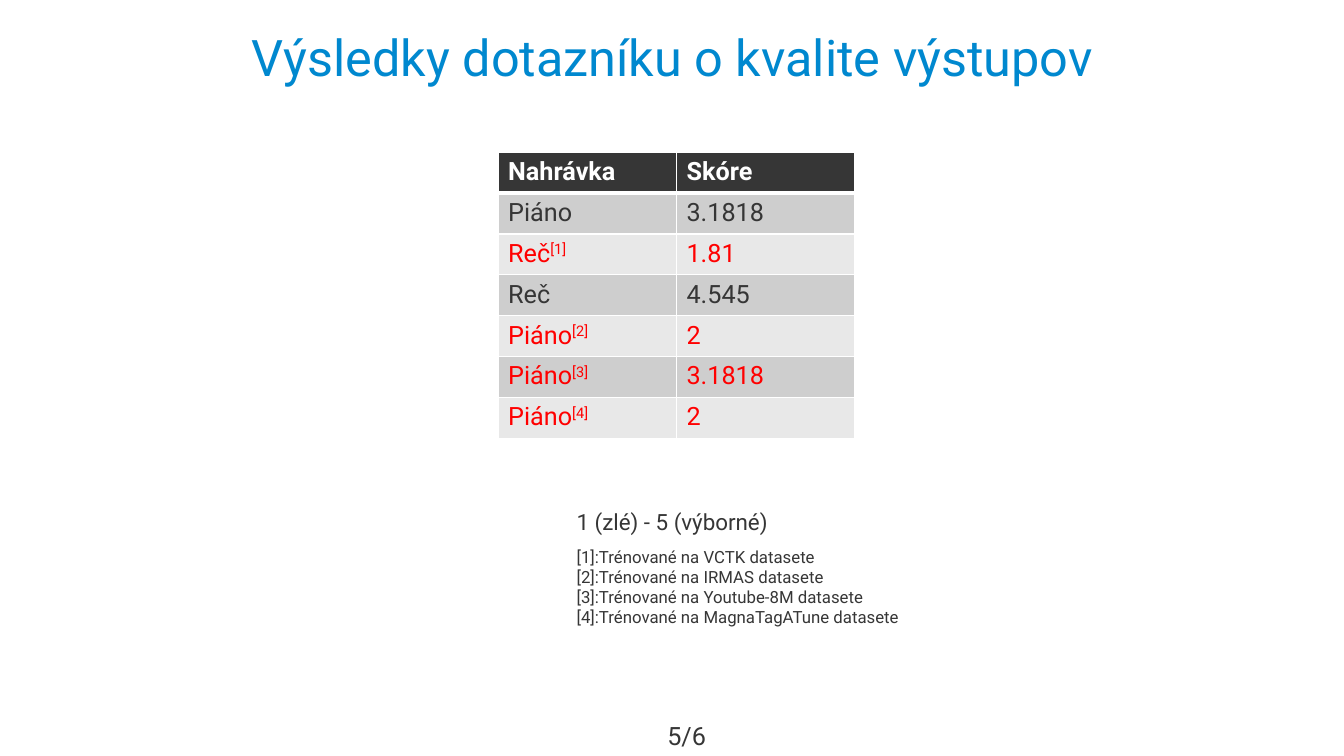
from dataclasses import dataclass

from pptx import Presentation
from pptx import util as u
from pptx.dml.color import RGBColor
from pptx.enum import text
from pptx.oxml import parse_xml
from pptx.oxml.ns import nsdecls


@dataclass(frozen=True)
class Theme:
    """Font, colours and type sizes of the slide."""
    font: str = "Roboto"
    title: str = "0088CF"
    dark: str = "363636"
    white: str = "FFFFFF"
    trained: str = "FF0000"
    bands: tuple = ("CECECE", "E8E8E8")
    title_size: int = 36
    body_size: int = 18
    scale_size: int = 16
    note_size: int = 12


THEME = Theme()
HEADINGS = ("Nahrávka", "Skóre")
SCORES = (
    ("Piáno", "", "3.1818"),
    ("Reč", "[1]", "1.81"),
    ("Reč", "", "4.545"),
    ("Piáno", "[2]", "2"),
    ("Piáno", "[3]", "3.1818"),
    ("Piáno", "[4]", "2"),
)
DATASETS = ("VCTK", "IRMAS", "Youtube-8M", "MagnaTagATune")


def add_span(para, content, size, color, bold=False, raised=False):
    """Add one formatted run to a paragraph."""
    span = para.add_run()
    span.text = content
    span.font.name = THEME.font
    span.font.size = u.Pt(size)
    span.font.bold = bold
    span.font.color.rgb = RGBColor.from_string(color)
    if raised:
        span._r.get_or_add_rPr().set("baseline", "30000")


def add_text(page, area, lines, size, color=THEME.dark, align=None, spacing=None):
    """Add a text box with one paragraph per line."""
    box = page.shapes.add_textbox(*map(u.Inches, area))
    frame = box.text_frame
    frame.word_wrap = True
    for index, line in enumerate(lines):
        para = frame.add_paragraph() if index else frame.paragraphs[0]
        para.alignment = align
        para.line_spacing = spacing
        add_span(para, line, size, color)


def style_cell(cell, fill, top=1, bottom=1):
    """Give a cell white borders and a solid fill."""
    properties = cell._tc.get_or_add_tcPr()
    for side, width in (("L", 1), ("R", 1), ("T", top), ("B", bottom)):
        properties.append(parse_xml(
            f'<a:ln{side} {nsdecls("a")} w="{u.Pt(width)}"><a:solidFill>'
            f'<a:srgbClr val="{THEME.white}"/></a:solidFill></a:ln{side}>'))
    cell.fill.solid()
    cell.fill.fore_color.rgb = RGBColor.from_string(fill)


def add_score_table(page):
    """Add the table of recordings and their scores."""
    area = map(u.Inches, (4.94, 1.51, 3.54, 2.84))
    table = page.shapes.add_table(len(SCORES) + 1, len(HEADINGS), *area).table
    table.horz_banding = False
    for column, heading in enumerate(HEADINGS):
        cell = table.cell(0, column)
        style_cell(cell, THEME.dark, bottom=3)
        add_span(cell.text_frame.paragraphs[0], heading, THEME.body_size, THEME.white, bold=True)
    for row, (recording, mark, score) in enumerate(SCORES, start=1):
        color = THEME.trained if mark else THEME.dark
        for column, content in enumerate((recording, score)):
            cell = table.cell(row, column)
            style_cell(cell, THEME.bands[(row - 1) % 2], top=3 if row == 1 else 1)
            para = cell.text_frame.paragraphs[0]
            add_span(para, content, THEME.body_size, color)
            if mark and column == 0:
                add_span(para, mark, THEME.body_size, color, raised=True)


def main():
    """Build the slide and save the deck."""
    deck = Presentation()
    deck.slide_width, deck.slide_height = u.Inches(13.33), u.Inches(7.5)
    page = deck.slides.add_slide(deck.slide_layouts[6])
    add_text(page, (0.92, 0.28, 11.5, 1.04), ["Výsledky dotazníku o kvalite výstupov"],
             THEME.title_size, THEME.title, text.PP_ALIGN.CENTER, 0.9)
    add_score_table(page)
    add_text(page, (5.62, 4.99, 2.19, 0.37), ["1 (zlé) - 5 (výborné)"], THEME.scale_size)
    notes = [f"[{number}]:Trénované na {name} datasete"
             for number, name in enumerate(DATASETS, start=1)]
    add_text(page, (5.62, 5.37, 5.01, 0.91), notes, THEME.note_size)
    add_text(page, (6.52, 7.1, 0.63, 0.4), ["5/6"], THEME.body_size)
    deck.save("out.pptx")


if __name__ == "__main__":
    main()
